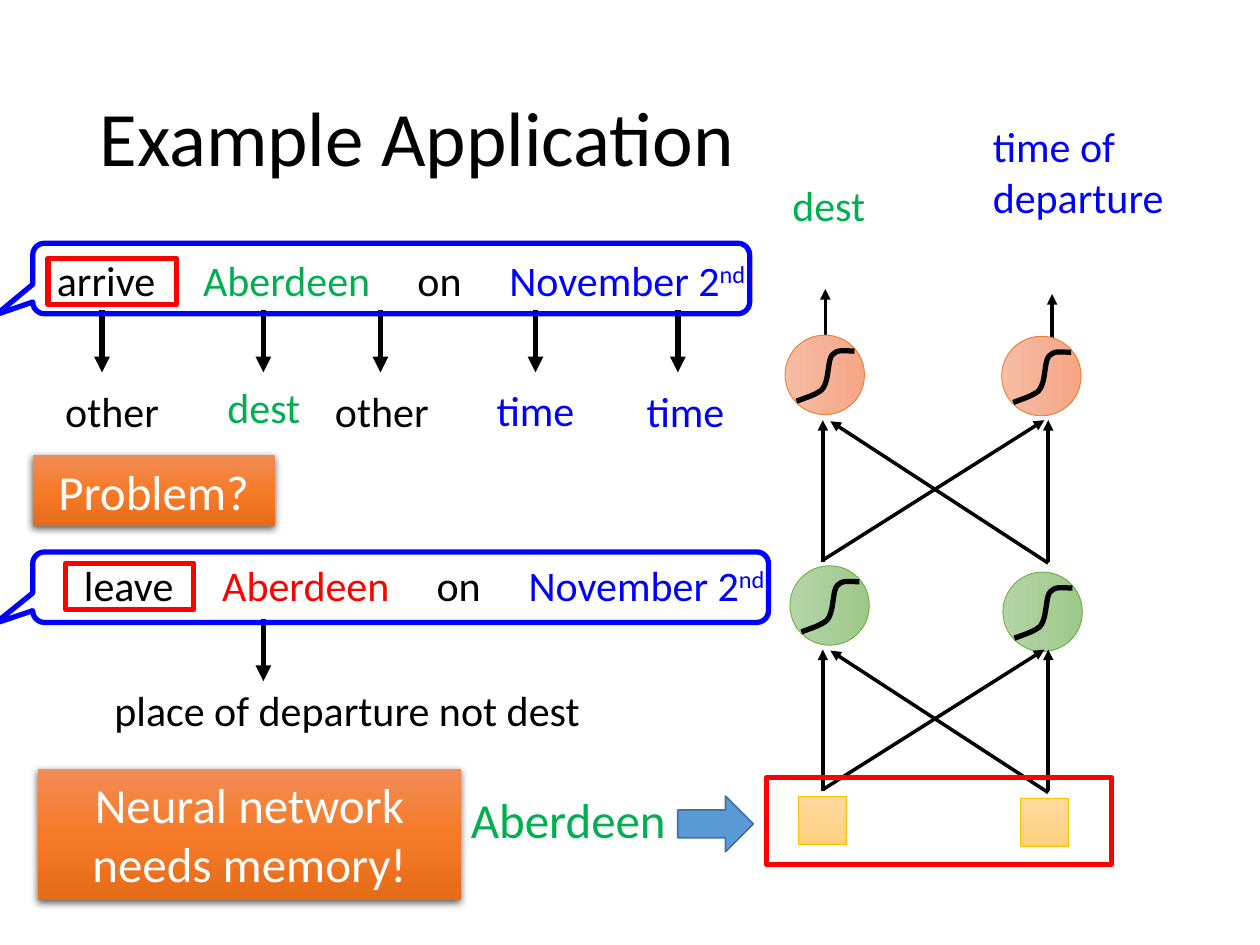
import copy
from dataclasses import dataclass

import pptx
import pptx.dml.color
import pptx.enum.shapes
import pptx.enum.text
import pptx.oxml
import pptx.oxml.ns
import pptx.util

Pt = pptx.util.Pt
SHAPE = pptx.enum.shapes.MSO_SHAPE
ALIGN = pptx.enum.text.PP_ALIGN
ANCHOR = pptx.enum.text.MSO_ANCHOR


@dataclass(frozen=True)
class Theme:
    font: str = "Calibri"
    title: int = 44
    large: int = 28
    body: int = 24
    black: str = "000000"
    white: str = "FFFFFF"
    red: str = "FF0000"
    green: str = "00B050"
    blue: str = "0000FF"
    arrow_fill: str = "5B9BD5"
    arrow_edge: str = "43739E"
    banner: tuple = ("F18C57", "F67B28", "E56C19")
    input_fill: tuple = ("FFDB9E", "FFD590", "FFD07C")
    input_edge: str = "FFC000"
    hidden_fill: tuple = ("B5D5A7", "AACE9A", "9CC987")
    hidden_edge: str = "70AD47"
    output_fill: tuple = ("F7BDA5", "F5B196", "F8A582")
    output_edge: str = "ED7D31"


THEME = Theme()
# S-shaped activation curve: start point, then Bezier segments, in points
CURVE_START = (0, 28.8)
CURVE = [((5.8, 26.6), (10.8, 25.2), (14.4, 22.3)),
         ((17.3, 19.4), (18, 11.5), (18, 11.5)),
         ((18.7, 7.9), (18.7, 2.9), (21.6, 1.4)),
         ((23.8, -0.7), (28.1, 0), (33.1, 0.2))]


def rgb(value):
    return pptx.dml.color.RGBColor.from_string(value)


def add_effect_list(parent):
    effects = pptx.oxml.parse_xml(f'<a:effectLst {pptx.oxml.ns.nsdecls("a")}/>')
    parent.append(effects)


def write_text(frame, runs, size=THEME.body, color=THEME.black, align=ALIGN.LEFT,
               wrap=True, anchor=ANCHOR.TOP, inset=None, tabs=(), spacing=None):
    """Runs are a plain string or (text, colour, superscript) triples."""
    frame.word_wrap, frame.vertical_anchor = wrap, anchor
    if inset is not None:
        frame.margin_left = frame.margin_right = Pt(inset)
        frame.margin_top = frame.margin_bottom = Pt(inset)
    paragraph = frame.paragraphs[0]
    paragraph.alignment = align
    if spacing:
        paragraph.line_spacing = spacing
    if tabs:
        stops = "".join(f'<a:tab pos="{Pt(stop)}" algn="l"/>' for stop in tabs)
        paragraph._p.get_or_add_pPr().append(pptx.oxml.parse_xml(
            f'<a:tabLst {pptx.oxml.ns.nsdecls("a")}>{stops}</a:tabLst>'))
    if isinstance(runs, str):
        runs = [(runs, color, False)]
    for text, run_color, superscript in runs:
        run = paragraph.add_run()
        run.text = text
        run.font.name, run.font.size = THEME.font, Pt(size)
        run.font.color.rgb = rgb(run_color)
        if superscript:
            run._r.get_or_add_rPr().set("baseline", "30000")


def add_label(slide, box, runs, **text_format):
    label = slide.shapes.add_textbox(*map(Pt, box))
    write_text(label.text_frame, runs, **text_format)


def set_gradient(fill, colors):
    fill.gradient()
    fill.gradient_angle = 270
    stop_list = fill.gradient_stops[0]._gs.getparent()
    stop_list.insert(1, copy.deepcopy(stop_list[0]))
    for stop, color, position in zip(fill.gradient_stops, colors, (0, 0.5, 1)):
        stop.color.rgb = rgb(color)
        stop.position = position


def add_figure(slide, kind, box, fill=None, edge=None, weight=3):
    figure = slide.shapes.add_shape(kind, *map(Pt, box))
    figure.shadow.inherit = False
    if isinstance(fill, tuple):
        set_gradient(figure.fill, fill)
    elif fill:
        figure.fill.solid()
        figure.fill.fore_color.rgb = rgb(fill)
    else:
        figure.fill.background()
    if edge:
        figure.line.color.rgb = rgb(edge)
        figure.line.width = Pt(weight)
    else:
        figure.line.fill.background()
    return figure


def add_arrow(slide, start, end, weight=2):
    arrow = slide.shapes.add_connector(
        pptx.enum.shapes.MSO_CONNECTOR.STRAIGHT, *map(Pt, (*start, *end)))
    arrow.line.color.rgb = rgb(THEME.black)
    arrow.line.width = Pt(weight)
    arrow.line._get_or_add_ln().append(pptx.oxml.parse_xml(
        f'<a:tailEnd {pptx.oxml.ns.nsdecls("a")} type="triangle"/>'))
    add_effect_list(arrow._element.spPr)


def add_curve(slide, left, top):
    points, start = [], CURVE_START
    for segment in CURVE:
        for step in range(1, 9):
            t = step / 8
            weights = ((1 - t) ** 3, 3 * t * (1 - t) ** 2, 3 * t * t * (1 - t), t ** 3)
            knots = (start, *segment)
            points.append((Pt(left + sum(w * k[0] for w, k in zip(weights, knots))),
                           Pt(top + sum(w * k[1] for w, k in zip(weights, knots)))))
        start = segment[-1]
    builder = slide.shapes.build_freeform(Pt(left + CURVE_START[0]), Pt(top + CURVE_START[1]))
    builder.add_line_segments(points, close=False)
    curve = builder.convert_to_shape()
    curve.shadow.inherit = False
    curve.fill.background()
    curve.line.color.rgb = rgb(THEME.black)
    curve.line.width = Pt(3)


def add_banner(slide, box, text):
    banner = add_figure(slide, SHAPE.RECTANGLE, box, THEME.banner)
    banner._element.spPr.find(pptx.oxml.ns.qn("a:effectLst")).append(pptx.oxml.parse_xml(
        f'<a:outerShdw {pptx.oxml.ns.nsdecls("a")} blurRad="{Pt(4.5)}" dist="{Pt(1.5)}" '
        f'dir="5400000" algn="ctr" rotWithShape="0"><a:srgbClr val="{THEME.black}">'
        '<a:alpha val="63000"/></a:srgbClr></a:outerShdw>'))
    write_text(banner.text_frame, text, size=THEME.large, color=THEME.white, align=ALIGN.CENTER)


def add_sentence(slide, box, verb, place_color, verb_at, place_stop, frame_x, arrows):
    """Speech bubble with a tabbed sentence, a framed verb and arrows below."""
    left, top, width, height = box
    verb_x, verb_y = left + verb_at[0], top + verb_at[1]
    words = [(f"{verb}\t", THEME.black, False), ("Aberdeen\t", place_color, False),
             ("on\t", THEME.black, False), ("November 2", THEME.blue, False),
             ("nd", THEME.blue, True)]
    add_label(slide, (verb_x, verb_y, 400, 29), words, inset=0,
              tabs=[place_stop + offset for offset in (0, 122.5, 175)])
    for x in arrows:
        add_arrow(slide, (left + x, top + height - 2), (left + x, top + height + 33.5), weight=3)
    bubble = add_figure(slide, SHAPE.ROUNDED_RECTANGULAR_CALLOUT, box, edge=THEME.blue)
    for index, value in enumerate((-0.551, 0.512, 0.167)):
        bubble.adjustments[index] = value
    add_figure(slide, SHAPE.RECTANGLE, (left + frame_x, verb_y + 2.2, 73.4, 26.6), edge=THEME.red)


def add_slot_labels(slide, box):
    left, top, _, height = box
    slots = [("other", THEME.black, 45.4, 2), ("dest", THEME.green, 132.1, 0),
             ("other", THEME.black, 199.5, 2), ("time", THEME.blue, 287.3, 1.5),
             ("time", THEME.blue, 373, 2)]
    for text, color, center, drop in slots:
        add_label(slide, (left + center - 37.5, top + drop, 75, height), text,
                  color=color, align=ALIGN.CENTER)


def add_network(slide, box):
    left, top, width, _ = box
    # Outputs and their labels
    add_label(slide, (left + 7.7, top + 32.9, 75, 36), "dest", color=THEME.green)
    add_label(slide, (left + 122.2, top - 0.5, width - 122.2, 65.5), "time of departure",
              color=THEME.blue)
    for x, y in ((33.6, 150.7), (163.2, 153.6)):
        add_arrow(slide, (left + x, top + y), (left + x, top + y - 51.5))
    # Inputs
    for x, y in ((18.5, 389), (145.2, 390.5)):
        add_figure(slide, SHAPE.RECTANGLE, (left + x, top + y, 27.4, 27.4),
                   THEME.input_fill, THEME.input_edge, 0.5)
    # Neurons
    hidden = (THEME.hidden_fill, THEME.hidden_edge)
    output = (THEME.output_fill, THEME.output_edge)
    neurons = [(13.4, 257.3, hidden), (135.1, 260.9, hidden),
               (10.6, 125.5, output), (134.4, 126.2, output)]
    for x, y, (fill, edge) in neurons:
        neuron = add_figure(slide, SHAPE.OVAL, (left + x, top + y, 45.4, 45.4), fill, edge, 0.5)
        neuron.rotation = 270
        add_curve(slide, left + x + 6.6, top + y + 9)
    # Full connections between layers
    near, far = left + 32.2, left + 161
    for base in (top + 386.2, top + 255.1):
        tip = base - 81
        add_arrow(slide, (far, base + 0.7), (near + 4.3, tip + 0.6))
        add_arrow(slide, (near, base - 1), (far - 2.2, tip))
        for x in (near, far):
            add_arrow(slide, (x, base), (x, tip))
    # Input vector frame
    add_figure(slide, SHAPE.RECTANGLE, (left, top + 378.2, 197.3, 49.7), edge=THEME.red)


def add_network_input(slide, box):
    left, top, _, height = box
    add_label(slide, (left, top, 127.4, height), "Aberdeen",
              size=THEME.large, color=THEME.green, wrap=False)
    add_figure(slide, SHAPE.RIGHT_ARROW, (left + 125.3, top + 7.2, 43.2, 31.7),
               THEME.arrow_fill, THEME.arrow_edge, 1)


def main():
    deck = pptx.Presentation()
    deck.slide_width, deck.slide_height = Pt(720), Pt(540)
    slide = deck.slides.add_slide(deck.slide_layouts[5])

    title = slide.shapes.title
    title.left, title.top, title.width, title.height = map(Pt, (49.7, 28.8, 620.6, 104.4))
    write_text(title.text_frame, "Example Application", size=THEME.title,
               anchor=ANCHOR.MIDDLE, spacing=0.9)

    add_network(slide, (438, 66, 282, 428))
    add_network_input(slide, (262, 447.8, 168.5, 41))

    # Arrival sentence and its slots
    add_sentence(slide, (18.7, 139, 409.7, 40.3), "arrive", THEME.green, (13.8, 6.4), 83.5,
                 8.7, (39.6, 131.8, 198.7, 287.3, 368.7))
    add_slot_labels(slide, (18.7, 214.6, 409.7, 36))
    add_banner(slide, (18.7, 259.9, 138.2, 41), "Problem?")

    # Departure sentence and the conclusion
    add_sentence(slide, (18.7, 315.4, 420.5, 40.3), "leave", THEME.red, (29.3, 4.3), 79,
                 18.7, (131.8,))
    add_label(slide, (58.3, 387.4, 299.5, 36), "place of departure not dest")
    add_banner(slide, (21.6, 439.2, 241.9, 74.9), "Neural network needs memory!")
    deck.save("out.pptx")


if __name__ == "__main__":
    main()
